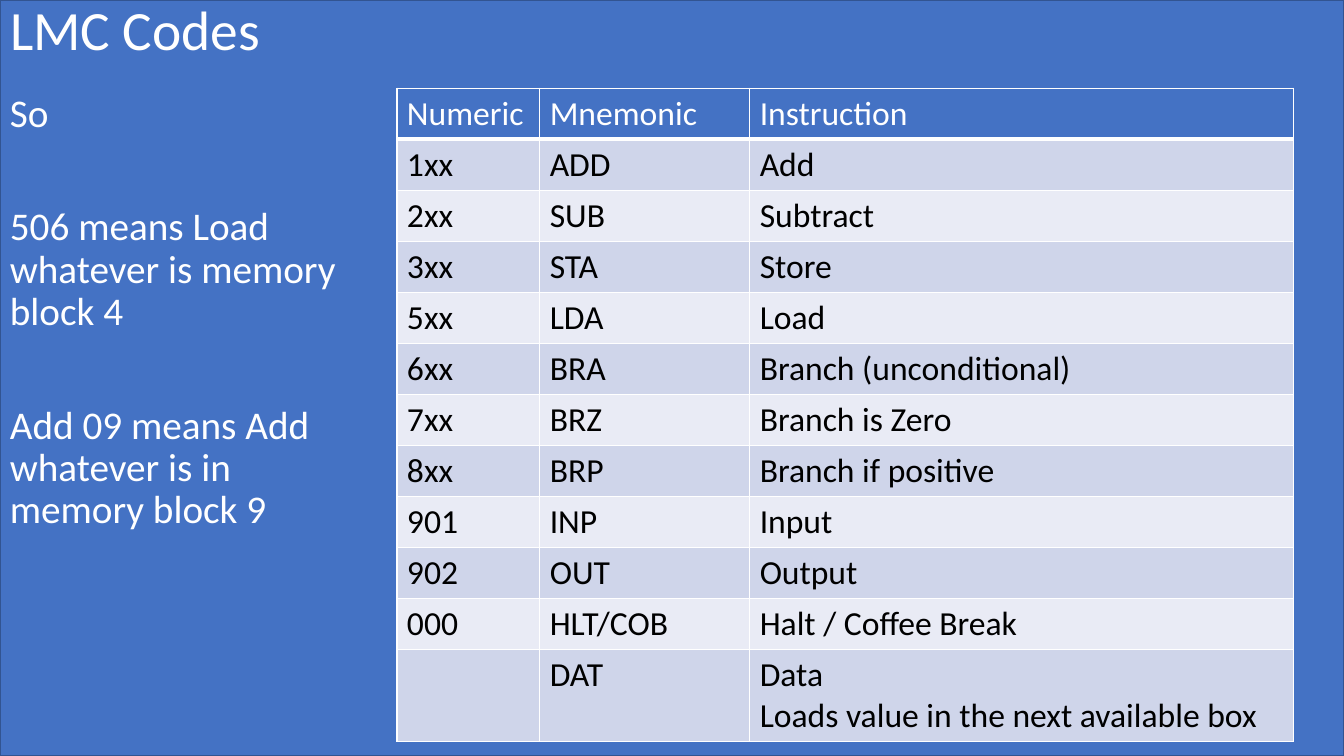
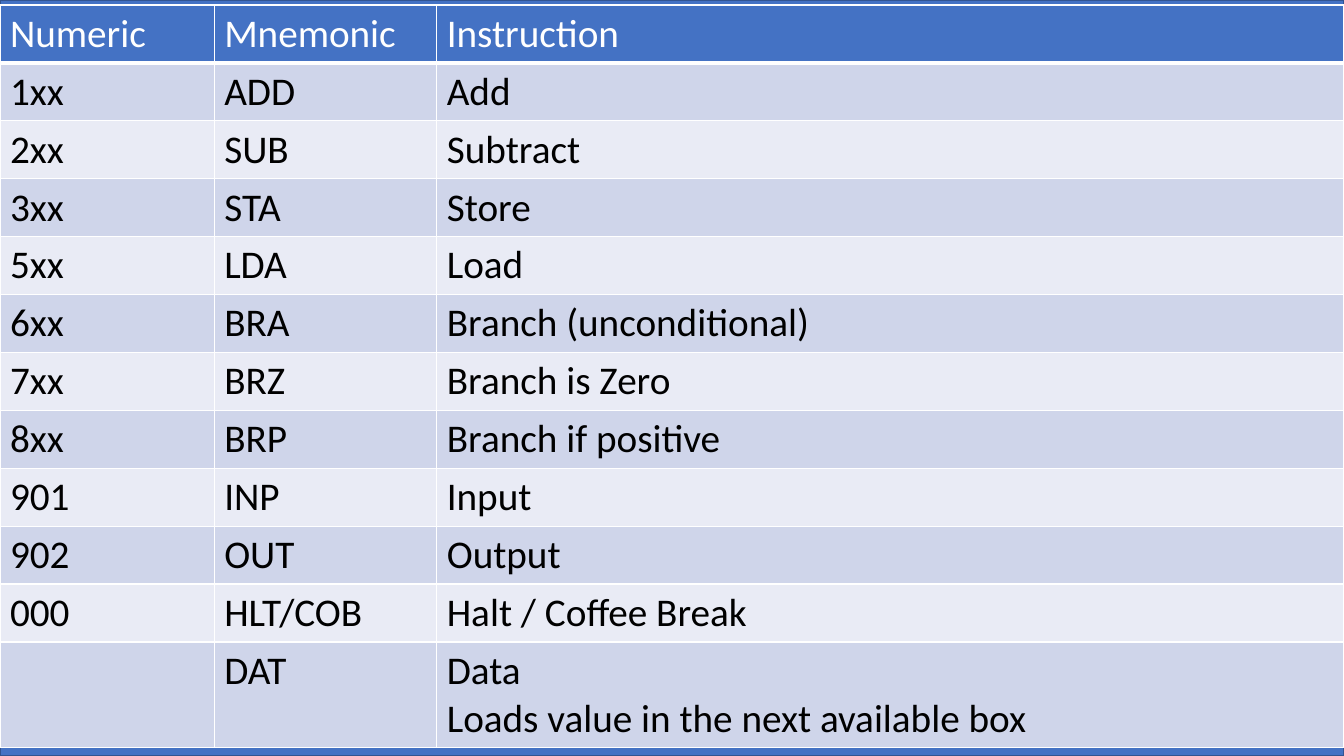
from dataclasses import dataclass

from lxml.etree import SubElement
from pptx import Presentation
from pptx.dml.color import RGBColor
from pptx.enum.shapes import MSO_SHAPE
from pptx.enum.text import MSO_ANCHOR, MSO_AUTO_SIZE, PP_ALIGN
from pptx.oxml.ns import qn
from pptx.util import Inches, Pt

COLS, ROWS = 160, 90
TITLE_ONLY, BLANK = 5, 6


@dataclass(frozen=True)
class Theme:
    font: str = "Calibri"
    blue: str = "4472C4"
    edge: str = "325491"
    white: str = "FFFFFF"
    black: str = "000000"
    bands: tuple = ("CFD5EA", "E9EBF5")
    title: float = 39.6
    body: float = 28
    small: float = 24
    line_spacing: float = 0.9
    paragraph_gap: float = 51
    line_height: float = 1.22
    cell_padding: float = 7.2
    rule: float = 1
    header_rule: float = 3


def rgb(value):
    return RGBColor.from_string(value)


class Deck:
    """Holds the presentation, its style and the current slide."""

    def __init__(self, theme):
        self.theme = theme
        self.prs = Presentation()
        self.prs.slide_width, self.prs.slide_height = Inches(13.33), Inches(7.5)
        self.s = None

    def box(self, x, y, w, h):
        """Turn grid columns and rows into slide lengths."""
        col, row = self.prs.slide_width / COLS, self.prs.slide_height / ROWS
        return int(x * col), int(y * row), int(w * col), int(h * row)

    def slide(self, layout):
        self.s = self.prs.slides.add_slide(self.prs.slide_layouts[layout])

    def master_band(self):
        """Put the blue backdrop behind every slide by moving it to the master."""
        sp = self.s.shapes.add_shape(MSO_SHAPE.RECTANGLE, *self.box(0, 0, COLS, ROWS))
        sp.shadow.inherit = False
        sp.fill.solid()
        sp.fill.fore_color.rgb = rgb(self.theme.blue)
        sp.line.color.rgb = rgb(self.theme.edge)
        sp.line.width = Pt(1)
        sp.element.nvSpPr.cNvPr.set("id", "100")
        self.prs.slide_master.shapes.element.insert(2, sp.element)

    def add_text(self, p, text, size, color):
        for i, line in enumerate(text.split("\n")):
            if i:
                p.add_line_break()
            r = p.add_run()
            r.text = line
            r.font.name, r.font.size = self.theme.font, Pt(size)
            r.font.color.rgb = rgb(color)

    def title(self, text, *place):
        sp = self.s.shapes.title
        sp.left, sp.top, sp.width, sp.height = self.box(*place)
        tf = sp.text_frame
        tf.auto_size = MSO_AUTO_SIZE.NONE
        tf.vertical_anchor = MSO_ANCHOR.MIDDLE
        p = tf.paragraphs[0]
        p.alignment, p.line_spacing = PP_ALIGN.LEFT, self.theme.line_spacing
        self.add_text(p, text, self.theme.title, self.theme.white)

    def body(self, paragraphs, *place):
        tf = self.s.shapes.add_textbox(*self.box(*place)).text_frame
        tf.word_wrap = True
        for i, text in enumerate(paragraphs):
            p = tf.add_paragraph() if i else tf.paragraphs[0]
            p.line_spacing = self.theme.line_spacing
            p.space_before = Pt(self.theme.paragraph_gap if i else 0)
            self.add_text(p, text, self.theme.body, self.theme.white)

    def borders(self, cell, top, bottom):
        tc_pr = cell._tc.get_or_add_tcPr()
        rule = self.theme.rule
        sides = (("L", rule), ("R", rule), ("T", top), ("B", bottom))
        for i, (side, width) in enumerate(sides):
            ln = SubElement(tc_pr, qn(f"a:ln{side}"), w=str(Pt(width)))
            fill = SubElement(ln, qn("a:solidFill"))
            SubElement(fill, qn("a:srgbClr"), val=self.theme.white)
            tc_pr.insert(i, ln)

    def table(self, rows, x, y, widths, size):
        """Draw a banded table whose row heights follow from the type size."""
        t = self.theme
        heights = [
            Pt(size * t.line_height * (1 + max(text.count("\n") for text in row)) + t.cell_padding)
            for row in rows
        ]
        left, top, width, _ = self.box(x, y, sum(widths), 0)
        table = self.s.shapes.add_table(
            len(rows), len(widths), left, top, width, sum(heights)).table
        for column, share in zip(table.columns, widths):
            column.width = self.box(0, 0, share, 0)[2]
        for i, (row, height) in enumerate(zip(rows, heights)):
            table.rows[i].height = height
            fill, color = (t.bands[(i - 1) % 2], t.black) if i else (t.blue, t.white)
            for j, text in enumerate(row):
                cell = table.cell(i, j)
                cell.fill.solid()
                cell.fill.fore_color.rgb = rgb(fill)
                self.borders(cell, t.header_rule if i == 1 else t.rule,
                             t.rule if i else t.header_rule)
                if text:
                    self.add_text(cell.text_frame.paragraphs[0], text, size, color)


CODES = [
    ("Numeric", "Mnemonic", "Instruction"),
    ("1xx", "ADD", "Add"),
    ("2xx", "SUB", "Subtract"),
    ("3xx", "STA", "Store"),
    ("5xx", "LDA", "Load"),
    ("6xx", "BRA", "Branch (unconditional)"),
    ("7xx", "BRZ", "Branch is Zero"),
    ("8xx", "BRP", "Branch if positive"),
    ("901", "INP", "Input"),
    ("902", "OUT", "Output"),
    ("000", "HLT/COB", "Halt / Coffee Break"),
    ("", "DAT", "Data\nLoads value in the next available box"),
]
EXAMPLES = [
    "So",
    "506 means Load whatever is memory block 4",
    "Add 09 means Add whatever is in memory block 9",
]


def main():
    theme = Theme()
    deck = Deck(theme)

    deck.slide(TITLE_ONLY)
    deck.master_band()
    deck.title("LMC Codes", 0, 0, COLS, 7.8)
    deck.body(EXAMPLES, 0, 10.5, 41.25, 79.5)
    deck.table(CODES, 47.25, 10.5, (17, 25, 64.7), theme.small)

    deck.slide(BLANK)
    deck.table(CODES, 0, 0.6, (25.5, 26.5, 108), theme.body)

    deck.prs.save("out.pptx")


if __name__ == "__main__":
    main()
